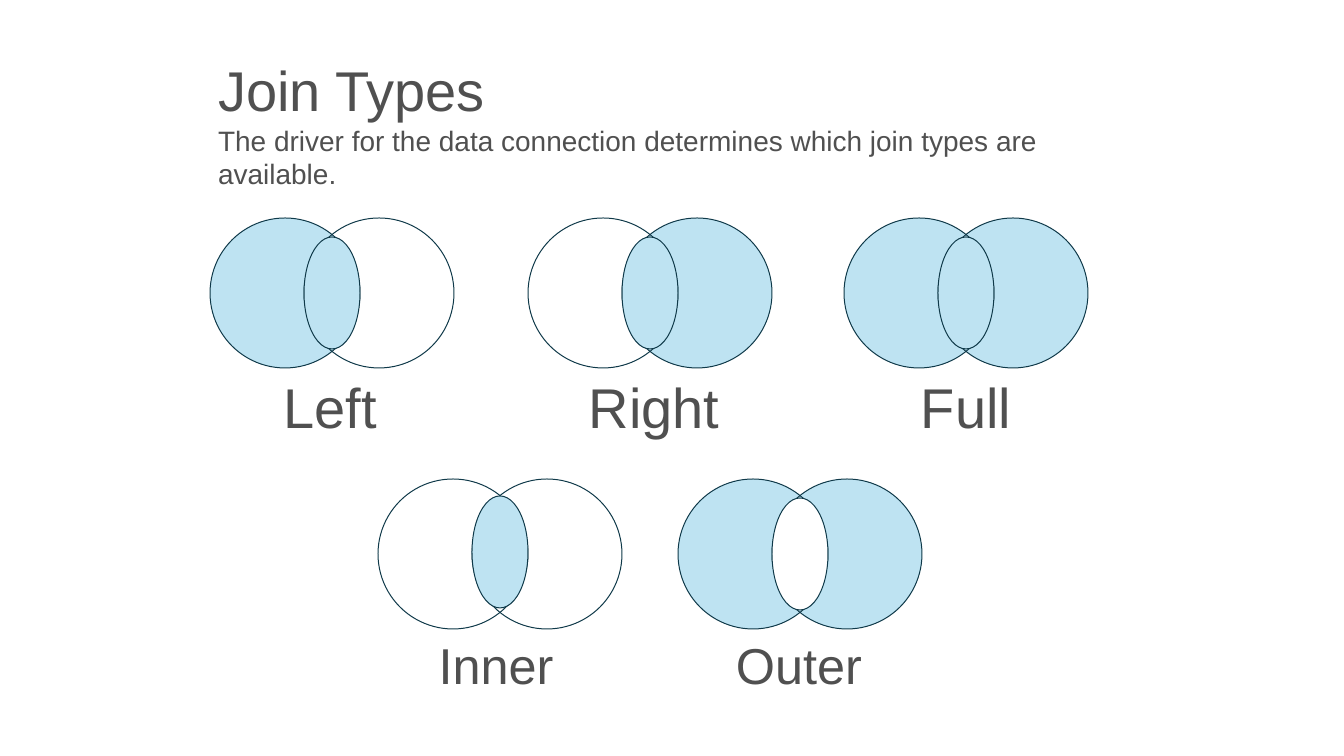
from pptx import Presentation
from pptx.dml.color import RGBColor
from pptx.enum.shapes import MSO_SHAPE
from pptx.enum.text import MSO_ANCHOR, PP_ALIGN
from pptx.util import Pt

PX = 914400 // 84
BLUE, WHITE, NAVY, GREY = "BEE3F2", "FFFFFF", "0F3949", "505050"
CIRCLE, SHIFT = 150, 94
LENS_W, LENS_H = CIRCLE - SHIFT, 112
INSET = 8


def style_text(tf, sizes, align):
    tf.margin_left = tf.margin_right = tf.margin_top = tf.margin_bottom = INSET * PX
    tf.vertical_anchor = MSO_ANCHOR.TOP
    for p, size in zip(tf.paragraphs, sizes):
        p.alignment = align
        p.line_spacing = 1.0
        font = p.runs[0].font
        font.name, font.size = "Arial", Pt(size)
        font.color.rgb = RGBColor.from_string(GREY)


def add_ellipse(x, y, w, h, fill=None, line=None):
    sp = s.shapes.add_shape(MSO_SHAPE.OVAL, x * PX, y * PX, w * PX, h * PX)
    sp.shadow.inherit = False
    if fill:
        sp.fill.solid()
        sp.fill.fore_color.rgb = RGBColor.from_string(fill)
    else:
        sp.fill.background()
    if line:
        sp.line.color.rgb = RGBColor.from_string(line)
        sp.line.width = Pt(0.85)
    else:
        sp.line.fill.background()


prs = Presentation()
prs.slide_width, prs.slide_height = 1344 * PX, 756 * PX
s = prs.slides.add_slide(prs.slide_layouts[5])

# Title with its explanation
title = s.shapes.title
title.left, title.top, title.width, title.height = 210 * PX, 48 * PX, 918 * PX, 144 * PX
tf = title.text_frame
tf.text = "Join Types\nThe driver for the data connection determines which join types are available."
tf.word_wrap = True
style_text(tf, (48, 24), PP_ALIGN.LEFT)

# Join diagrams: name, left, top, circle fills, lens fill, lens offset, label centre, label size
joins = [
    ("Left", 210, 218, (BLUE, None), BLUE, 19, 330, 48),
    ("Right", 528, 218, (None, BLUE), BLUE, 19, 654, 48),
    ("Full", 844, 218, (BLUE, BLUE), BLUE, 19, 966, 48),
    ("Inner", 378, 479, (WHITE, WHITE), BLUE, 17, 496, 43.2),
    ("Outer", 678, 479, (BLUE, BLUE), WHITE, 19, 799, 43.2),
]
LABEL_W, LABEL_H = 150, 76
for name, left, top, fills, lens_fill, lens_dy, label_x, size in joins:
    # Fills lie below both outlines
    for i, fill in enumerate(fills):
        if fill:
            add_ellipse(left + i * SHIFT, top, CIRCLE, CIRCLE, fill=fill)
    for i in range(2):
        add_ellipse(left + i * SHIFT, top, CIRCLE, CIRCLE, line=NAVY)
    add_ellipse(left + SHIFT, top + lens_dy, LENS_W, LENS_H, lens_fill, NAVY)

    # Label
    box = s.shapes.add_textbox((label_x - LABEL_W // 2) * PX, (top + 147) * PX,
                               LABEL_W * PX, LABEL_H * PX)
    box.text_frame.text = name
    box.text_frame.word_wrap = False
    style_text(box.text_frame, (size,), PP_ALIGN.CENTER)

prs.save("out.pptx")
